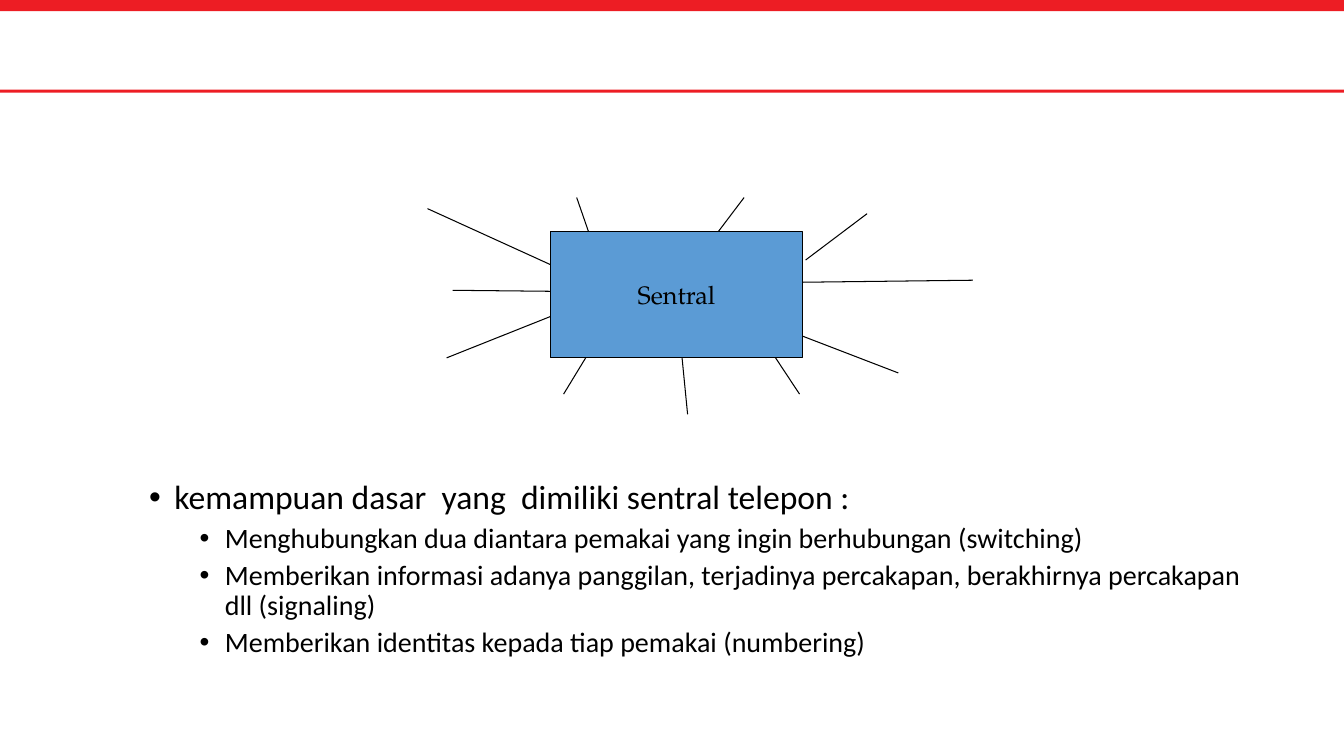
from lxml import etree
from pptx import Presentation
from pptx.dml.color import RGBColor
from pptx.enum.shapes import MSO_CONNECTOR, MSO_SHAPE
from pptx.enum.text import MSO_ANCHOR, MSO_AUTO_SIZE, PP_ALIGN
from pptx.oxml.ns import qn
from pptx.util import Inches, Pt

RECT = MSO_SHAPE.RECTANGLE
LINE = MSO_CONNECTOR.STRAIGHT
MIDDLE, TOP = MSO_ANCHOR.MIDDLE, MSO_ANCHOR.TOP
CENTER = PP_ALIGN.CENTER
FIXED = MSO_AUTO_SIZE.NONE

WIDTH, HEIGHT = 13.33, 7.5

# Spokes around the exchange: x1, y1, x2, y2
SPOKES = [
    (5.72, 1.96, 5.9, 2.48),
    (4.24, 2.07, 5.47, 2.63),
    (4.49, 2.88, 5.46, 2.89),
    (4.43, 3.55, 5.46, 3.14),
    (5.59, 3.91, 5.9, 3.4),
    (6.82, 4.11, 6.76, 3.5),
    (7.56, 3.35, 7.93, 3.91),
    (7.87, 3.3, 8.91, 3.7),
    (7.96, 2.8, 9.65, 2.78),
    (7.99, 2.58, 8.6, 2.12),
    (7.07, 2.37, 7.38, 1.96),
]

# Level and text of each list item
ITEMS = [
    (0, "kemampuan dasar  yang  dimiliki sentral telepon :"),
    (1, "Menghubungkan dua diantara pemakai yang ingin berhubungan (switching)"),
    (1, "Memberikan informasi adanya panggilan, terjadinya percakapan, "
        "berakhirnya percakapan dll (signaling)"),
    (1, "Memberikan identitas kepada tiap pemakai (numbering)"),
]


def color(code):
    return RGBColor.from_string(code)


class Deck:
    RED, BLUE, BLACK = "ED1D24", "5B9BD5", "000000"
    SANS, SERIF = "Calibri", "TeX Gyre Pagella"
    THIN = Pt(0.75)

    def __init__(self, slide):
        self.slide = slide

    def font(self, para, name, size):
        para.font.name = name
        para.font.size = Pt(size)
        para.font.color.rgb = color(self.BLACK)

    def rect(self, home, box, fill, edge=None):
        shape = home.shapes.add_shape(RECT, *map(Inches, box))
        shape.shadow.inherit = False
        shape.fill.solid()
        shape.fill.fore_color.rgb = color(fill)
        if edge:
            shape.line.color.rgb = color(edge)
            shape.line.width = self.THIN
        else:
            shape.line.fill.background()
        return shape

    def label(self, shape, text):
        frame = shape.text_frame
        frame.word_wrap = False
        frame.vertical_anchor = MIDDLE
        para = frame.paragraphs[0]
        para.text = text
        para.alignment = CENTER
        self.font(para, self.SERIF, 18)

    def spoke(self, home, ends):
        line = home.shapes.add_connector(LINE, *map(Inches, ends))
        line.line.color.rgb = color(self.BLACK)
        line.line.width = self.THIN
        etree.SubElement(line._element.spPr, qn("a:effectLst"))

    def bullet(self, para, left):
        props = para._p.get_or_add_pPr()
        props.set("marL", str(Inches(left)))
        props.set("indent", str(Inches(-0.25)))
        etree.SubElement(props, qn("a:buFont")).set("typeface", "Arial")
        etree.SubElement(props, qn("a:buChar")).set("char", "•")

    def list(self, body, box, items):
        body.left, body.top, body.width, body.height = map(Inches, box)
        frame = body.text_frame
        frame.word_wrap = True
        frame.auto_size = FIXED
        frame.vertical_anchor = TOP
        for i, (level, text) in enumerate(items):
            para = frame.add_paragraph() if i else frame.paragraphs[0]
            para.text = text
            para.level = level
            para.line_spacing = 0.9
            para.space_before = Pt(5 if i else 0)
            para.space_after = Pt(0)
            self.bullet(para, 0.25 + 0.5 * level)
            self.font(para, self.SANS, 24 - 4 * level)


def main():
    prs = Presentation()
    prs.slide_width, prs.slide_height = Inches(WIDTH), Inches(HEIGHT)
    slide = prs.slides.add_slide(prs.slide_layouts[1])
    title, body = slide.placeholders
    title._element.getparent().remove(title._element)
    deck = Deck(slide)

    # Red bands at the top
    for top, high in ((0, 0.11), (0.89, 0.03)):
        deck.rect(slide, (0, top, WIDTH, high), deck.RED)

    # Abilities of the exchange
    deck.list(body, (1.38, 4.72, 11.04, 2.67), ITEMS)

    # Exchange with its lines
    group = slide.shapes.add_group_shape()
    for ends in SPOKES:
        deck.spoke(group, ends)
    hub = deck.rect(group, (5.46, 2.3, 2.5, 1.25), deck.BLUE, deck.BLACK)
    deck.label(hub, "Sentral")

    prs.save("out.pptx")


if __name__ == "__main__":
    main()
